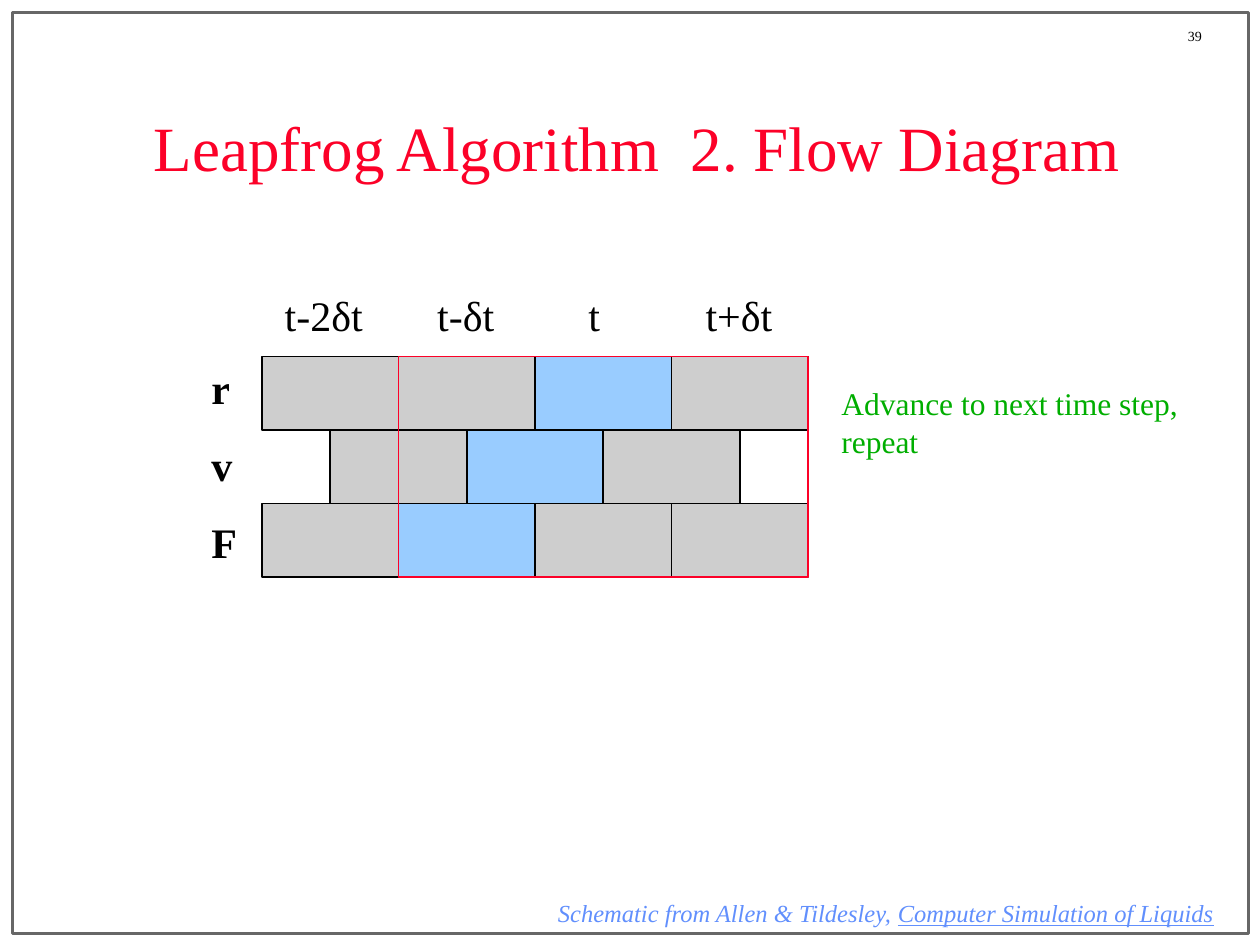
from pptx import Presentation
from pptx.dml.color import RGBColor
from pptx.enum.shapes import MSO_SHAPE
from pptx.enum.text import MSO_ANCHOR, PP_ALIGN
from pptx.oxml.ns import qn
from pptx.util import Inches, Pt
from lxml.etree import SubElement

BLACK = RGBColor(0x00, 0x00, 0x00)
GRAY = RGBColor(0xCE, 0xCE, 0xCE)
BORDER = RGBColor(0x67, 0x67, 0x67)
BLUE = RGBColor(0x99, 0xCC, 0xFF)
RED = RGBColor(0xFC, 0x01, 0x28)
GREEN = RGBColor(0x00, 0xAE, 0x00)
CITATION = RGBColor(0x61, 0x8F, 0xFD)

GRID_LEFT, GRID_TOP = 2.08, 2.83
CELL_WIDTH, CELL_HEIGHT = 3.25 / 3, 1.75 / 3
GRID_ROWS = [
    (0, [GRAY, GRAY, BLUE, GRAY]),
    (0.5, [GRAY, BLUE, GRAY]),
    (0, [GRAY, BLUE, GRAY, GRAY]),
]


class SlideBuilder:
    font_name = "Times New Roman"

    def __init__(self, deck):
        self.slide = deck.slides.add_slide(deck.slide_layouts[5])

    def style(self, font, size, color, bold=False, italic=False):
        font.name = self.font_name
        font.size = Pt(size)
        font.color.rgb = color
        font.bold = bold
        font.italic = italic

    def title(self, text, left, top, width, height):
        box = self.slide.shapes.title
        box.left, box.top = Inches(left), Inches(top)
        box.width, box.height = Inches(width), Inches(height)
        frame = box.text_frame
        frame.text = text
        frame.vertical_anchor = MSO_ANCHOR.MIDDLE
        para = frame.paragraphs[0]
        para.alignment = PP_ALIGN.CENTER
        self.style(para.runs[0].font, 36, RED)

    def rectangle(self, left, top, width, height, line, fill=None, weight=1):
        box = self.slide.shapes.add_shape(
            MSO_SHAPE.RECTANGLE, Inches(left), Inches(top), Inches(width), Inches(height))
        box.shadow.inherit = False
        box.line.color.rgb = line
        box.line.width = Pt(weight)
        if fill is None:
            box.fill.background()
        else:
            box.fill.solid()
            box.fill.fore_color.rgb = fill

    def text(self, paragraphs, left, top, width, height, size, color,
             bold=False, italic=False, gap=0, tabs=()):
        box = self.slide.shapes.add_textbox(
            Inches(left), Inches(top), Inches(width), Inches(height))
        frame = box.text_frame
        frame.word_wrap = True
        for index, spans in enumerate(paragraphs):
            para = frame.add_paragraph() if index else frame.paragraphs[0]
            if index and gap:
                para.space_before = Pt(gap)
            if tabs:
                stops = SubElement(para._p.get_or_add_pPr(), qn("a:tabLst"))
                for position in tabs:
                    SubElement(stops, qn("a:tab"), pos=str(Inches(position)), algn="l")
            for text in spans:
                span = para.add_run()
                span.text = text
                self.style(span.font, size, color, bold, italic)
        return frame


def main():
    deck = Presentation()
    deck.slide_width, deck.slide_height = Inches(10), Inches(7.5)
    page = SlideBuilder(deck)

    page.rectangle(0.1, 0.1, 9.81, 7.31, BORDER, weight=2)
    page.text([["39"]], 9.33, 0.17, 0.67, 0.23, 8, BLACK)
    page.title("Leapfrog Algorithm  2. Flow Diagram", 0.75, 0.67, 8.61, 0.99)

    for row, (shift, colors) in enumerate(GRID_ROWS):
        for column, color in enumerate(colors):
            page.rectangle(GRID_LEFT + (column + shift) * CELL_WIDTH,
                           GRID_TOP + row * CELL_HEIGHT,
                           CELL_WIDTH, CELL_HEIGHT, BLACK, color)

    page.text([["r"], ["v"], ["F"]], 1.58, GRID_TOP, 0.5, 1.72, 24, BLACK,
              bold=True, gap=15)
    times = page.text([["t-2δt\tt-δt\tt\tt+δt"]], 2, 2.25, 4.42, 0.5, 24, BLACK,
                      tabs=(1.21, 2.41, 3.34))
    times.margin_left = Inches(0.26)
    page.text([["Advance to next time step,"], ["repeat"]],
              6.58, 3, 3.33, 0.7, 18, GREEN)
    citation = page.text(
        [["Schematic from Allen & Tildesley, ", "Computer Simulation of Liquids"]],
        4.33, 7.08, 5.67, 0.34, 14, CITATION, italic=True)
    citation.paragraphs[0].runs[1].font.underline = True

    page.rectangle(GRID_LEFT + CELL_WIDTH, GRID_TOP,
                   3 * CELL_WIDTH, 3 * CELL_HEIGHT, RED)
    deck.save("out.pptx")


if __name__ == "__main__":
    main()
